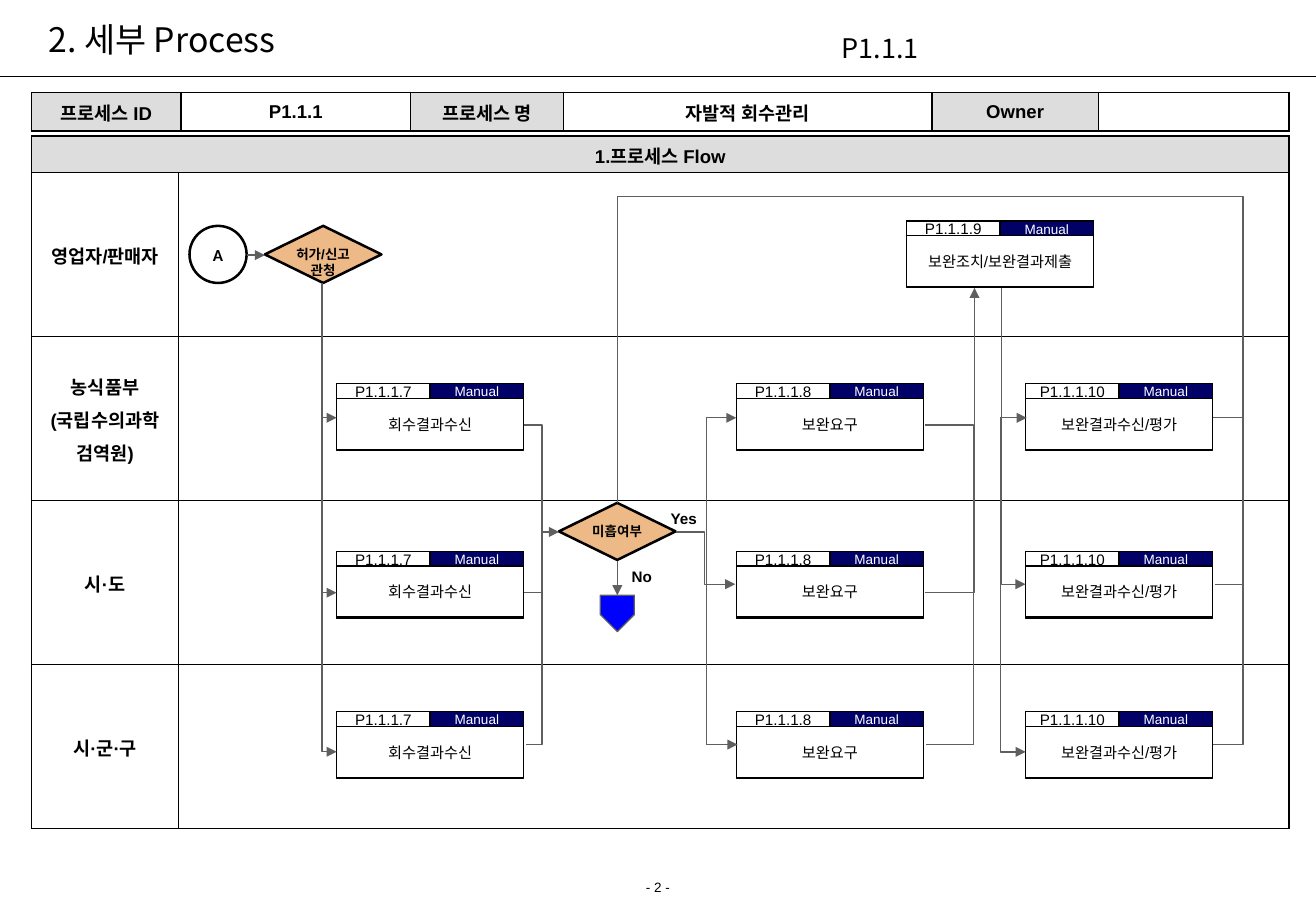
from itertools import product

from lxml.etree import SubElement
from pptx import Presentation
from pptx.dml.color import RGBColor
from pptx.enum.shapes import MSO_CONNECTOR, MSO_SHAPE
from pptx.enum.text import MSO_ANCHOR, PP_ALIGN
from pptx.oxml.ns import qn
from pptx.util import Inches, Pt

COLORS = {"black": "000000", "white": "FFFFFF", "gray": "DDDDDD", "navy": "000066",
          "orange": "EDBA87", "blue": "0000FF", "route": "5F5F5F"}
KOREAN_FONT = "Noto Sans CJK KR"
STEP_COLUMNS = [(2.77, "P1.1.1.7", "회수결과수신"),
                (6.06, "P1.1.1.8", "보완요구"),
                (8.44, "P1.1.1.10", "보완결과수신/평가")]
STEP_ROWS = [3.16, 4.54, 5.86]


def rgb(name):
    """Return the named colour."""
    return RGBColor.from_string(COLORS[name])


def write_text(frame, text, size=9, font="Arial", color="black", bold=False,
               align=PP_ALIGN.CENTER, spacing=None, before=0, after=0):
    """Write each line of text as a formatted paragraph."""
    for index, line in enumerate(text.split("\n")):
        paragraph = frame.add_paragraph() if index else frame.paragraphs[0]
        paragraph.alignment = align
        paragraph.space_before, paragraph.space_after = Pt(before), Pt(after)
        if spacing:
            paragraph.line_spacing = spacing
        if not line:
            paragraph._p.get_or_add_endParaRPr().set("sz", str(size * 100))
            continue
        run = paragraph.add_run()
        run.text = line
        run.font.size, run.font.name, run.font.bold = Pt(size), font, bold
        run.font.color.rgb = rgb(color)
        SubElement(run._r.get_or_add_rPr(), qn("a:ea"), typeface=KOREAN_FONT)


def add_label(slide, box, text, anchor=MSO_ANCHOR.TOP, **style):
    """Add a text box."""
    frame = slide.shapes.add_textbox(*map(Inches, box)).text_frame
    frame.word_wrap, frame.vertical_anchor = True, anchor
    write_text(frame, text, **style)


def add_block(shapes, kind, box, fill=None, line="black", width=0.75):
    """Add a flat preset shape."""
    shape = shapes.add_shape(kind, *map(Inches, box))
    shape.shadow.inherit = False
    if fill:
        shape.fill.solid()
        shape.fill.fore_color.rgb = rgb(fill)
    else:
        shape.fill.background()
    shape.line.color.rgb, shape.line.width = rgb(line), Pt(width)
    return shape


def add_step(slide, left, top, code, name):
    """Add a grouped process step with its code, mode and name."""
    shapes = slide.shapes.add_group_shape().shapes
    parts = [((left, top + 0.12, 1.54, 0.42), "white", name, 9, "black"),
             ((left, top, 0.77, 0.12), "white", code, 9, "black"),
             ((left + 0.77, top, 0.77, 0.12), "navy", "Manual", 8, "white")]
    for box, fill, text, size, color in parts:
        frame = add_block(shapes, MSO_SHAPE.RECTANGLE, box, fill).text_frame
        frame.margin_left = frame.margin_right = Inches(0.01)
        frame.margin_top = frame.margin_bottom = Inches(0.01)
        frame.word_wrap, frame.vertical_anchor = True, MSO_ANCHOR.MIDDLE
        write_text(frame, text, size=size, color=color, spacing=1.04, before=2)
    add_block(shapes, MSO_SHAPE.RECTANGLE, (left, top, 1.54, 0.55))


def add_decision(slide, left, top, text):
    """Add a decision diamond."""
    shape = add_block(slide.shapes, MSO_SHAPE.FLOWCHART_DECISION,
                      (left, top, 0.96, 0.47), "orange", width=1.5)
    shape.text_frame.word_wrap = False
    shape.text_frame.vertical_anchor = MSO_ANCHOR.TOP
    write_text(shape.text_frame, text, size=8, bold=True)


def add_route(slide, start, end, kind=MSO_CONNECTOR.ELBOW, turn_x=None, turn_y=None,
              arrows="", color="route"):
    """Add a connector that leaves horizontally and bends at the given turns."""
    connector = slide.shapes.add_connector(kind, *map(Inches, start + end))
    connector.line.color.rgb, connector.line.width = rgb(color), Pt(0.75)
    properties = connector._element.spPr
    SubElement(properties, qn("a:effectLst"))
    line = connector.line._get_or_add_ln()
    for arrow in arrows.split():
        SubElement(line, qn(f"a:{arrow}End"), type="triangle")
    if kind == MSO_CONNECTOR.ELBOW:
        turns = [(turn - first) / (last - first)
                 for turn, first, last in zip((turn_x, turn_y), start, end)
                 if turn is not None]
        geometry = properties.find(qn("a:prstGeom"))
        geometry.set("prst", f"bentConnector{2 + len(turns)}")
        guides = geometry.get_or_add_avLst()
        for number, turn in enumerate(turns, 1):
            SubElement(guides, qn("a:gd"), name=f"adj{number}",
                       fmla=f"val {round(turn * 100000)}")


def add_grid(slide, left, top, columns, rows):
    """Add an unbanded table with the given column widths and row heights."""
    table = slide.shapes.add_table(
        len(rows), len(columns), Inches(left), Inches(top),
        Inches(sum(columns)), Inches(sum(rows))).table
    table.first_row = table.horz_banding = False
    for column, width in zip(table.columns, columns):
        column.width = Inches(width)
    for row, height in zip(table.rows, rows):
        row.height = Inches(height)
    return table


def fill_cell(cell, text, fill="white", **style):
    """Write a bordered table cell."""
    properties = cell._tc.get_or_add_tcPr()
    for side in ("lnL", "lnR", "lnT", "lnB"):
        border = SubElement(properties, qn(f"a:{side}"), w=str(Pt(1)))
        solid = SubElement(border, qn("a:solidFill"))
        SubElement(solid, qn("a:srgbClr"), val=COLORS["black"])
    cell.fill.solid()
    cell.fill.fore_color.rgb = rgb(fill)
    cell.vertical_anchor = MSO_ANCHOR.MIDDLE
    write_text(cell.text_frame, text, size=11, bold=True, after=3, **style)


def add_tables(slide):
    """Add the process header and the swimlanes."""
    header = add_grid(slide, 0.26, 0.76, [1.23, 1.89, 1.26, 3.03, 1.37, 1.57], [0.32])
    titles = ["프로세스 ID", "P1.1.1", "프로세스 명", "자발적 회수관리", "Owner", ""]
    for index, title in enumerate(titles):
        fill_cell(header.cell(0, index), title, "white" if index % 2 else "gray")
    lanes = add_grid(slide, 0.26, 1.12, [1.21, 9.14], [0.3] + [1.35] * 4)
    lanes.cell(0, 0).merge(lanes.cell(0, 1))
    fill_cell(lanes.cell(0, 0), "1.프로세스 Flow", "gray")
    fill_cell(lanes.cell(0, 1), "", "gray")
    owners = ["영업자/판매자", "농식품부\n(국립수의과학\n검역원)", "시·도", "시·군·구"]
    for row, owner in enumerate(owners, 1):
        fill_cell(lanes.cell(row, 0), owner, spacing=1.05)
        fill_cell(lanes.cell(row, 1), "")


def add_routes(slide):
    """Add the connectors between the steps."""
    straight = MSO_CONNECTOR.STRAIGHT
    add_route(slide, (2.03, 2.1), (2.18, 2.1), straight, arrows="tail")
    add_route(slide, (5.08, 4.62), (5.08, 4.9), straight, arrows="tail")
    for y in (3.44, 4.88, 6.19):
        add_route(slide, (2.77, y), (2.65, 2.33), arrows="head")
    add_route(slide, (4.31, 3.5), (4.33, 6.13), turn_x=4.46)
    add_route(slide, (4.31, 4.88), (4.6, 4.38), turn_x=4.46, arrows="tail")
    add_route(slide, (6.07, 6.13), (6.06, 3.44), turn_x=5.81, arrows="head tail")
    add_route(slide, (5.56, 4.38), (6.05, 4.81), turn_x=5.8, arrows="tail")
    add_route(slide, (7.61, 3.5), (7.62, 6.13), turn_x=8.02)
    add_route(slide, (7.61, 4.88), (8.02, 2.37), arrows="tail")
    add_route(slide, (8.45, 3.44), (8.44, 6.19), turn_x=8.23, arrows="head tail")
    add_route(slide, (8.44, 4.81), (8.24, 2.37), arrows="head")
    add_route(slide, (9.98, 3.44), (10, 4.81), turn_x=10.23)
    add_route(slide, (9.98, 6.13), (5.08, 4.14), turn_x=10.23, turn_y=1.62)


def main():
    """Build the process slide."""
    presentation = Presentation()
    presentation.slide_width, presentation.slide_height = Inches(10.83), Inches(7.5)
    slide = presentation.slides.add_slide(presentation.slide_layouts[6])
    add_label(slide, (0, 7.19, 10.83, 0.24), "- 2 -", size=8, before=4)
    add_route(slide, (0, 0.63), (10.83, 0.63), MSO_CONNECTOR.STRAIGHT, color="black")
    add_label(slide, (0.3, 0.05, 6.85, 0.55), "2. 세부 Process", MSO_ANCHOR.MIDDLE,
              size=20, font=KOREAN_FONT, align=PP_ALIGN.LEFT)
    add_label(slide, (6.83, 0.21, 3.15, 0.34), "P1.1.1", size=16, font=KOREAN_FONT,
              align=PP_ALIGN.LEFT)
    add_tables(slide)
    for (left, code, name), top in product(STEP_COLUMNS, STEP_ROWS):
        add_step(slide, left, top, code, name)
    add_step(slide, 7.46, 1.82, "P1.1.1.9", "보완조치/보완결과제출")
    add_decision(slide, 2.18, 1.86, "허가/신고\n관청")
    add_decision(slide, 4.6, 4.14, "미흡여부")
    start = add_block(slide.shapes, MSO_SHAPE.OVAL, (1.56, 1.86, 0.47, 0.47), width=1.5)
    start.text_frame.vertical_anchor = MSO_ANCHOR.MIDDLE
    write_text(start.text_frame, "A", size=10, font="Calibri", bold=True)
    add_routes(slide)
    for left, top, answer in ((5.42, 4.14, "Yes"), (5.1, 4.62, "No")):
        add_label(slide, (left, top, 0.55, 0.24), answer, bold=True, align=PP_ALIGN.LEFT)
    finish = add_block(slide.shapes, MSO_SHAPE.PENTAGON, (4.93, 4.91, 0.3, 0.28),
                       "blue", line="route")
    finish.rotation = 90
    presentation.save("out.pptx")


main()
